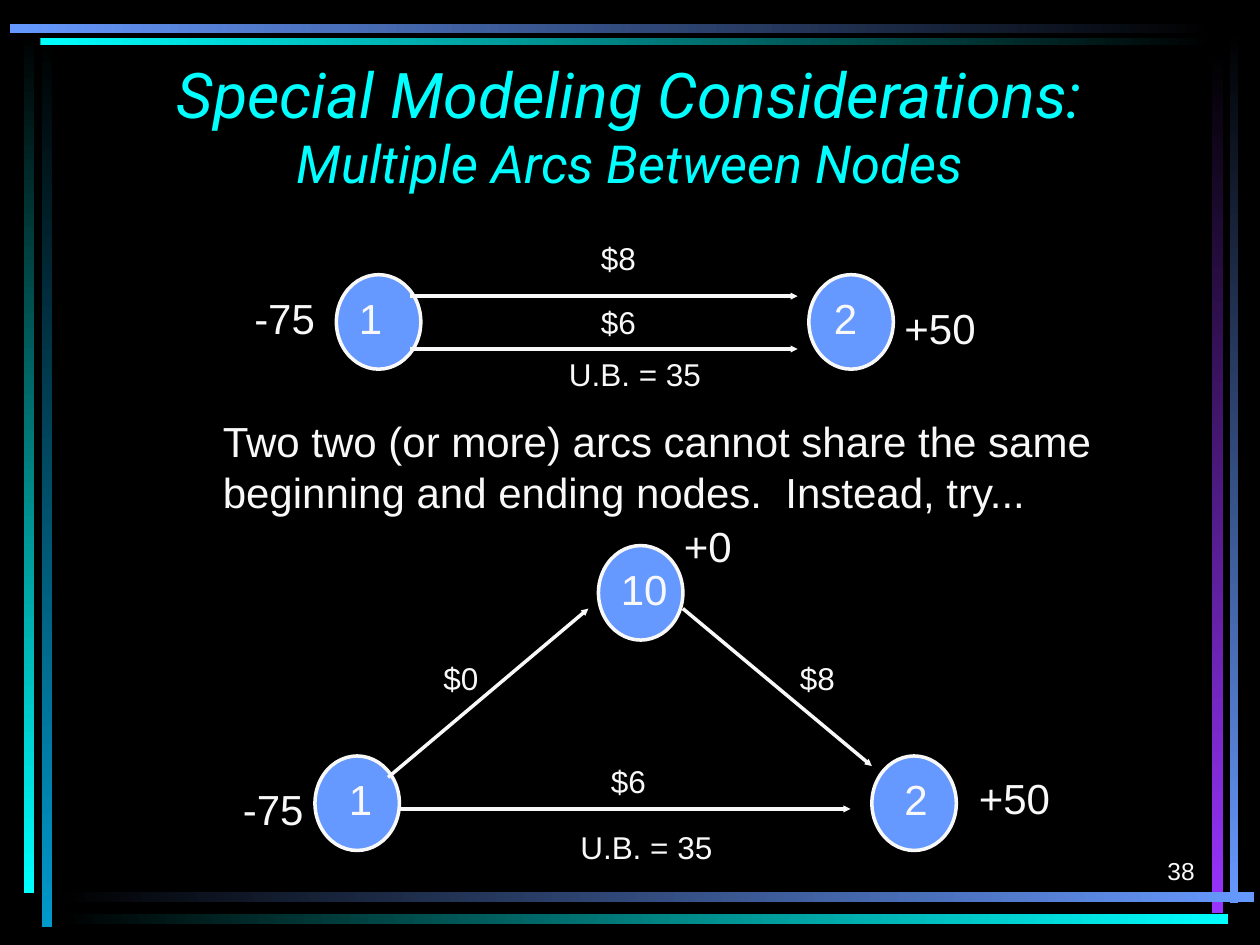
"""Build the slide on multiple arcs between nodes in a network flow model."""
from dataclasses import dataclass

import pptx
import pptx.dml.color
import pptx.enum.shapes
import pptx.enum.text
import pptx.oxml
import pptx.oxml.ns
import pptx.slide
import pptx.util
from pptx.util import Inches

ALIGN = pptx.enum.text.PP_ALIGN
ANCHOR = pptx.enum.text.MSO_ANCHOR
SHAPE = pptx.enum.shapes.MSO_SHAPE


@dataclass(frozen=True)
class Theme:
    black: str = "000000"
    text: str = "F8F8F8"
    blue: str = "6699FF"
    cyan: str = "00FFFF"
    teal: str = "0099CC"
    purple: str = "9933FF"
    title_font: str = "Roboto"
    body_font: str = "Arial"
    title: int = 36
    subtitle: int = 30
    body: int = 24
    cost: int = 18
    number: int = 14
    line: int = 2


@dataclass(frozen=True)
class Bar:
    x: float
    y: float
    w: float
    h: float
    start: str
    end: str


@dataclass(frozen=True)
class Node:
    x: float
    y: float
    name: str
    dx: float
    w: float = 0.33
    align: ALIGN = ALIGN.LEFT


@dataclass(frozen=True)
class Arc:
    x1: float
    y1: float
    x2: float
    y2: float


@dataclass(frozen=True)
class Label:
    x: float
    y: float
    w: float
    h: float
    text: str
    size: int
    align: ALIGN = ALIGN.LEFT
    anchor: ANCHOR = ANCHOR.TOP


T = Theme()

BARS = [
    Bar(0.33, 0.28, 0.08, 7.08, T.black, T.teal),
    Bar(0.19, 0.25, 0.08, 6.84, T.black, T.cyan),
    Bar(9.76, 0.24, 0.07, 6.93, T.black, T.blue),
    Bar(9.62, 0.42, 0.09, 6.83, T.black, T.purple),
    Bar(0.45, 7.08, 9.5, 0.08, T.black, T.blue),
    Bar(0.45, 7.25, 9.3, 0.08, T.black, T.cyan),
    Bar(0.32, 0.3, 9.32, 0.06, T.cyan, T.black),
    Bar(0.08, 0.19, 9.56, 0.07, T.blue, T.black),
]

NODES = [
    Node(2.67, 2.18, "1", 0.08),
    Node(6.42, 2.18, "2", 0, 0.58, ALIGN.CENTER),
    Node(2.5, 6, "1", 0.17),
    Node(4.75, 4.33, "10", 0.08, 0.67),
    Node(6.92, 6, "2", 0.16),
]

ARCS = [
    Arc(3.25, 2.35, 6.33, 2.35),
    Arc(3.25, 2.77, 6.33, 2.77),
    Arc(5.42, 4.83, 6.92, 6.08),
    Arc(3.17, 6.42, 6.75, 6.42),
    Arc(3.08, 6.17, 4.67, 4.83),
]

SUPPLIES = [
    (1.92, 2.27, "-75"), (7.08, 2.35, "+50"), (5.33, 4.08, "+0"),
    (1.83, 6.17, "-75"), (7.67, 6.08, "+50"),
]
COSTS = [
    (4.67, 1.85, "$8"), (4.67, 2.36, "$6"), (3.42, 5.18, "$0"),
    (6.25, 5.18, "$8"), (4.75, 6, "$6"),
]
BOUNDS = [(4.08, 2.77), (4.17, 6.52)]

LABELS = [
    *(Label(x, y, 0.83, 0.5, text, T.body) for x, y, text in SUPPLIES),
    *(Label(x, y, 0.58, 0.4, text, T.cost) for x, y, text in COSTS),
    *(Label(x, y, 1.92, 0.4, "U.B. = 35", T.cost, ALIGN.CENTER) for x, y in BOUNDS),
    Label(1.67, 3.25, 7.83, 0.9,
          "Two two (or more) arcs cannot share the same beginning and ending nodes.  "
          "Instead, try...", T.body),
    Label(7.5, 6.58, 2.08, 0.5, "38", T.number, ALIGN.RIGHT, ANCHOR.BOTTOM),
]


def rgb(code: str) -> pptx.dml.color.RGBColor:
    """Turn a hex code into a colour."""
    return pptx.dml.color.RGBColor.from_string(code)


def add_run(p, text: str, size: int, font: str, color: str, italic: bool = False) -> None:
    """Append one formatted run to a paragraph."""
    r = p.add_run()
    r.text = text
    r.font.size = pptx.util.Pt(size)
    r.font.name = font
    r.font.color.rgb = rgb(color)
    r.font.italic = italic


def add_bar(s: pptx.slide.Slide, bar: Bar) -> None:
    """Draw a border bar that fades along its longer side."""
    sp = s.shapes.add_shape(SHAPE.RECTANGLE, *map(Inches, (bar.x, bar.y, bar.w, bar.h)))
    sp.shadow.inherit = False
    sp.line.fill.background()
    sp.fill.gradient()
    sp.fill.gradient_angle = 270 if bar.h > bar.w else 0
    for stop, color in zip(sp.fill.gradient_stops, (bar.start, bar.end)):
        stop.color.rgb = rgb(color)


def add_label(s: pptx.slide.Slide, label: Label) -> None:
    """Place a text box with one run."""
    sp = s.shapes.add_textbox(*map(Inches, (label.x, label.y, label.w, label.h)))
    tf = sp.text_frame
    tf.word_wrap = True
    tf.vertical_anchor = label.anchor
    p = tf.paragraphs[0]
    p.alignment = label.align
    add_run(p, label.text, label.size, T.body_font, T.text)


def add_node(s: pptx.slide.Slide, node: Node) -> None:
    """Draw a node and its number."""
    sp = s.shapes.add_shape(SHAPE.OVAL, *map(Inches, (node.x, node.y, 0.67, 0.75)))
    sp.shadow.inherit = False
    sp.fill.solid()
    sp.fill.fore_color.rgb = rgb(T.blue)
    sp.line.color.rgb = rgb(T.text)
    sp.line.width = pptx.util.Pt(T.line)
    add_label(s, Label(node.x + node.dx, node.y + 0.09, node.w, 0.5,
                       node.name, T.body, node.align))


def add_arc(s: pptx.slide.Slide, arc: Arc) -> None:
    """Draw an arc with an arrowhead at its end."""
    sp = s.shapes.add_connector(pptx.enum.shapes.MSO_CONNECTOR.STRAIGHT,
                                *map(Inches, (arc.x1, arc.y1, arc.x2, arc.y2)))
    sp.line.color.rgb = rgb(T.text)
    sp.line.width = pptx.util.Pt(T.line)
    ns = pptx.oxml.ns.nsdecls("a")
    sp.line._get_or_add_ln().append(pptx.oxml.parse_xml(
        f'<a:tailEnd {ns} type="triangle" w="sm" len="sm"/>'))
    sp._element.spPr.append(pptx.oxml.parse_xml(f"<a:effectLst {ns}/>"))


def set_title(s: pptx.slide.Slide) -> None:
    """Fill and place the title."""
    sp = s.shapes.title
    sp.left, sp.top, sp.width, sp.height = map(Inches, (0.75, 0.92, 8.5, 0.67))
    tf = sp.text_frame
    tf.word_wrap = True
    tf.auto_size = pptx.enum.text.MSO_AUTO_SIZE.NONE
    tf.vertical_anchor = ANCHOR.BOTTOM
    p = tf.paragraphs[0]
    p.alignment = ALIGN.CENTER
    add_run(p, "Special Modeling Considerations:", T.title, T.title_font, T.cyan, True)
    p.add_line_break()
    add_run(p, "Multiple Arcs Between Nodes", T.subtitle, T.title_font, T.cyan, True)


def main() -> None:
    """Build and save the presentation."""
    prs = pptx.Presentation()
    prs.slide_width, prs.slide_height = Inches(10), Inches(7.5)
    s = prs.slides.add_slide(prs.slide_layouts.get_by_name("Title Only"))
    s.background.fill.solid()
    s.background.fill.fore_color.rgb = rgb(T.black)
    set_title(s)
    for draw, items in ((add_bar, BARS), (add_node, NODES), (add_arc, ARCS), (add_label, LABELS)):
        for item in items:
            draw(s, item)
    prs.save("out.pptx")


if __name__ == "__main__":
    main()
